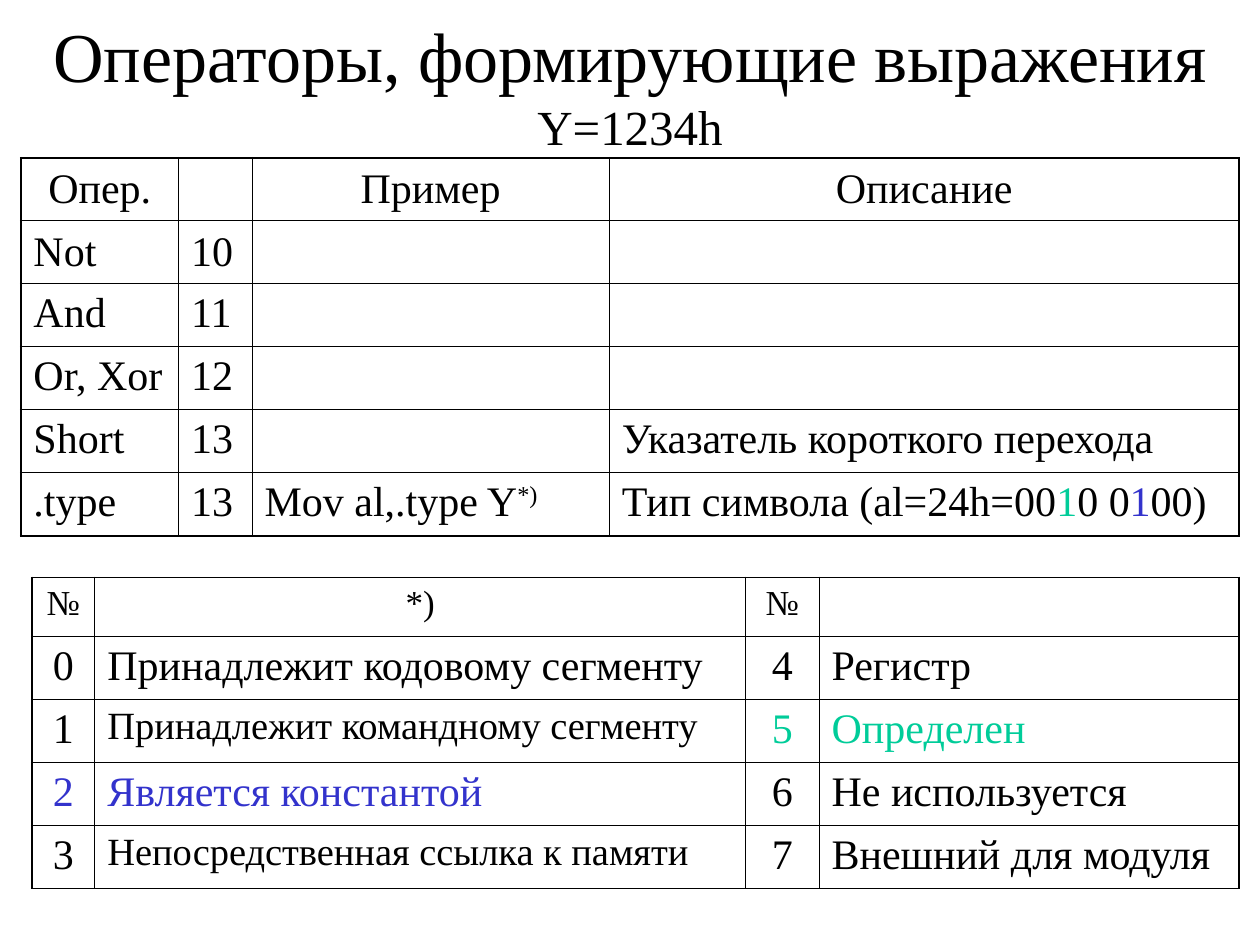
from dataclasses import dataclass
from lxml import etree
from pptx import Presentation
from pptx.dml.color import RGBColor
from pptx.enum.text import MSO_ANCHOR, MSO_AUTO_SIZE, PP_ALIGN
from pptx.oxml.ns import qn
from pptx.util import Cm, Pt

TOP, MIDDLE = MSO_ANCHOR.TOP, MSO_ANCHOR.MIDDLE
LEFT, CENTER = PP_ALIGN.LEFT, PP_ALIGN.CENTER
NO_FIT = MSO_AUTO_SIZE.NONE


@dataclass(frozen=True)
class Theme:
    font: str = "Times New Roman"
    ink: str = "000000"
    defined: str = "00CC99"
    constant: str = "3333CC"
    title: int = 40
    subtitle: int = 28
    body: int = 24
    snug: int = 22
    caption: int = 20
    inner_line: float = 0.45
    outer_line: float = 1.08


theme = Theme()


def draw_borders(cell, outer_sides):
    props = cell._tc.get_or_add_tcPr()
    for position, side in enumerate("LRTB"):
        width = theme.outer_line if side in outer_sides else theme.inner_line
        line = etree.Element(qn(f"a:ln{side}"), w=str(Pt(width)))
        fill = etree.SubElement(line, qn("a:solidFill"))
        etree.SubElement(fill, qn("a:srgbClr"), val=theme.ink)
        props.insert(position, line)


def add_grid(left, top, widths, heights, rows, header_size, centered_columns, middle_rows):
    table = slide.shapes.add_table(
        len(rows), len(widths), Cm(left), Cm(top), Cm(sum(widths)), Cm(sum(heights))
    ).table
    table.first_row = table.horz_banding = False
    for column, width in zip(table.columns, widths):
        column.width = Cm(width)
    for r, (height, entries) in enumerate(zip(heights, rows)):
        table.rows[r].height = Cm(height)
        for c, entry in enumerate(entries):
            cell = table.cell(r, c)
            cell.fill.background()
            cell.vertical_anchor = MIDDLE if r in middle_rows else TOP
            edges = {"L": c == 0, "R": c == len(widths) - 1, "T": r == 0, "B": r == len(rows) - 1}
            draw_borders(cell, [side for side, outer in edges.items() if outer])
            if not entry:
                continue
            size = header_size if r == 0 else theme.snug if entry in snug_texts else theme.body
            paragraph = cell.text_frame.paragraphs[0]
            paragraph.alignment = CENTER if r == 0 or c in centered_columns else LEFT
            paragraph.space_before = Pt(size / 4)
            paragraph.font.name = theme.font
            paragraph.font.size = Pt(size)
            parts = [(entry, theme.ink)] if isinstance(entry, str) else entry
            for text, color in parts:
                run = paragraph.add_run()
                run.text = text
                run.font.color.rgb = RGBColor.from_string(color)
    return table


presentation = Presentation()
presentation.slide_width, presentation.slide_height = Cm(25.4), Cm(19.05)
slide = presentation.slides.add_slide(presentation.slide_layouts[5])

heading = slide.shapes.title
heading.left, heading.top, heading.width, heading.height = Cm(0.42), Cm(0), Cm(24.56), Cm(3.39)
heading.text_frame.auto_size = NO_FIT
heading.text_frame.vertical_anchor = MIDDLE
heading_line = heading.text_frame.paragraphs[0]
heading_line.alignment = CENTER
heading_line.font.name = theme.font
heading_line.font.color.rgb = RGBColor.from_string(theme.ink)
for text, size in [("Операторы, формирующие выражения", theme.title), ("Y=1234h", theme.subtitle)]:
    if heading_line.runs:
        heading_line.add_line_break()
    run = heading_line.add_run()
    run.text = text
    run.font.size = Pt(size)

snug_texts = ["Принадлежит командному сегменту", "Непосредственная ссылка к памяти"]

type_example = [("Mov al,.type Y", theme.ink), ("*)", theme.ink)]
type_meaning = [
    ("Тип символа (al=24h=00", theme.ink),
    ("1", theme.defined),
    ("0 0", theme.ink),
    ("1", theme.constant),
    ("00)", theme.ink),
]
operators = add_grid(
    0.42, 3.18, [3.18, 1.48, 7.2, 12.7], [1.27] * 6,
    [
        ["Опер.", "", "Пример", "Описание"],
        ["Not", "10", "", ""],
        ["And", "11", "", ""],
        ["Or, Xor", "12", "", ""],
        ["Short", "13", "", "Указатель короткого перехода"],
        [".type", "13", type_example, type_meaning],
    ],
    theme.body, [], [0, 1],
)
footnote_mark = operators.cell(5, 2).text_frame.paragraphs[0].runs[1]
footnote_mark._r.get_or_add_rPr().set("baseline", "30000")

add_grid(
    0.64, 11.64, [1.27, 13.12, 1.48, 8.47], [1.19] + [1.27] * 4,
    [
        ["№", "*)", "№", ""],
        ["0", "Принадлежит кодовому сегменту", "4", "Регистр"],
        ["1", snug_texts[0], [("5", theme.defined)], [("Определен", theme.defined)]],
        [[("2", theme.constant)], [("Является константой", theme.constant)], "6", "Не используется"],
        ["3", snug_texts[1], "7", "Внешний для модуля"],
    ],
    theme.caption, [0, 2], [],
)

presentation.save("out.pptx")
